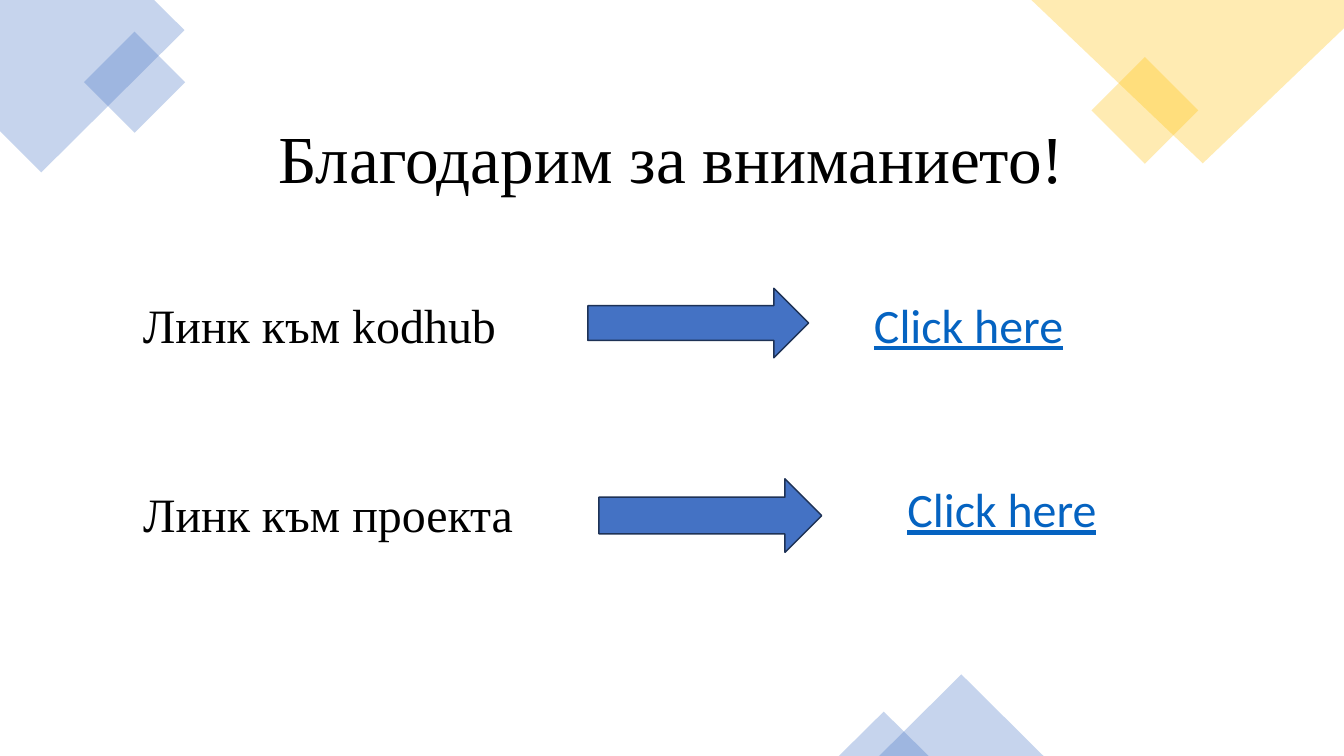
from lxml.etree import SubElement
from pptx import Presentation
from pptx.dml.color import RGBColor
from pptx.enum.shapes import MSO_SHAPE
from pptx.enum.text import MSO_ANCHOR, PP_ALIGN
from pptx.oxml.ns import qn
from pptx.util import Inches, Pt

BLUE, YELLOW, OUTLINE = "4472C4", "FFC000", "1E3256"
BLACK, LINK_BLUE = "000000", "0563C1"
SERIF, SANS = "Times New Roman", "Calibri"


def color(hex_text):
    return RGBColor.from_string(hex_text)


def paint(shape, fill, opacity=100, line=None):
    shape.shadow.inherit = False
    shape.fill.solid()
    shape.fill.fore_color.rgb = color(fill)
    if opacity < 100:
        fill_color = shape._element.spPr.find(qn("a:solidFill"))[0]
        SubElement(fill_color, qn("a:alpha"), val=str(opacity * 1000))
    if line:
        shape.line.color.rgb = color(line)
        shape.line.width = Pt(1)
    else:
        shape.line.fill.background()


def add_preset(slide, preset, box, fill, opacity=100, line=None, rotation=0):
    shape = slide.shapes.add_shape(preset, *map(Inches, box))
    shape.rotation = rotation
    paint(shape, fill, opacity, line)


def add_polygon(slide, points, fill):
    corners = [(Inches(x), Inches(y)) for x, y in points]
    builder = slide.shapes.build_freeform(*corners[0])
    builder.add_line_segments(corners[1:], close=True)
    paint(builder.convert_to_shape(), fill, opacity=30)


def write_text(shape, text, size, font_name, hex_text, anchor, underline=False):
    frame = shape.text_frame
    frame.word_wrap = True
    frame.vertical_anchor = anchor
    paragraph = frame.paragraphs[0]
    paragraph.alignment = PP_ALIGN.LEFT
    paragraph.line_spacing = 1.0
    run = paragraph.add_run()
    run.text = text
    run.font.size = Pt(size)
    run.font.name = font_name
    run.font.color.rgb = color(hex_text)
    run.font.underline = underline


def add_title(slide, text):
    title = slide.shapes.title
    title.left, title.top = Inches(2.66), Inches(1.09)
    title.width, title.height = Inches(8.77), Inches(0.91)
    write_text(title, text, 48, SERIF, BLACK, MSO_ANCHOR.BOTTOM)


def add_link_row(slide, label, label_box, arrow_box, link_box):
    label_shape = slide.shapes.add_textbox(*map(Inches, label_box))
    write_text(label_shape, label, 34.2, SERIF, BLACK, MSO_ANCHOR.BOTTOM)
    add_preset(slide, MSO_SHAPE.RIGHT_ARROW, arrow_box, BLUE, line=OUTLINE)
    link_shape = slide.shapes.add_textbox(*map(Inches, link_box))
    write_text(link_shape, "Click here", 34.2, SANS, LINK_BLUE,
               MSO_ANCHOR.TOP, underline=True)


def add_decoration(slide):
    # Top left and top right corners
    add_polygon(slide, [(0, 0), (1.53, 0), (1.83, 0.3), (0.41, 1.71), (0, 1.3)], BLUE)
    add_polygon(slide, [(10.23, 0), (13.33, 0), (13.33, 0.28), (11.93, 1.62)], YELLOW)
    for box, fill in [((0.98, 0.46, 0.71, 0.71), BLUE),
                      ((10.98, 0.72, 0.75, 0.75), YELLOW)]:
        add_preset(slide, MSO_SHAPE.RECTANGLE, box, fill, opacity=30, rotation=315)

    # Bottom edge
    for box in [(8.72, 6.69, 1.63, 0.81), (8.32, 7.06, 0.89, 0.44)]:
        add_preset(slide, MSO_SHAPE.ISOSCELES_TRIANGLE, box, BLUE, opacity=30)


def main():
    presentation = Presentation()
    presentation.slide_width = Inches(13.33)
    presentation.slide_height = Inches(7.5)
    slide = presentation.slides.add_slide(presentation.slide_layouts[5])

    add_decoration(slide)
    add_title(slide, "Благодарим за вниманието!")

    # Link rows: label, arrow, link
    add_link_row(slide, "Линк към kodhub", (1.32, 2.87, 3.86, 0.68),
                 (5.83, 2.86, 2.19, 0.69), (8.57, 2.88, 2.44, 0.64))
    add_link_row(slide, "Линк към проекта", (1.32, 4.75, 4.08, 0.68),
                 (5.94, 4.75, 2.21, 0.73), (8.9, 4.71, 2.19, 0.68))

    presentation.save("out.pptx")


if __name__ == "__main__":
    main()
